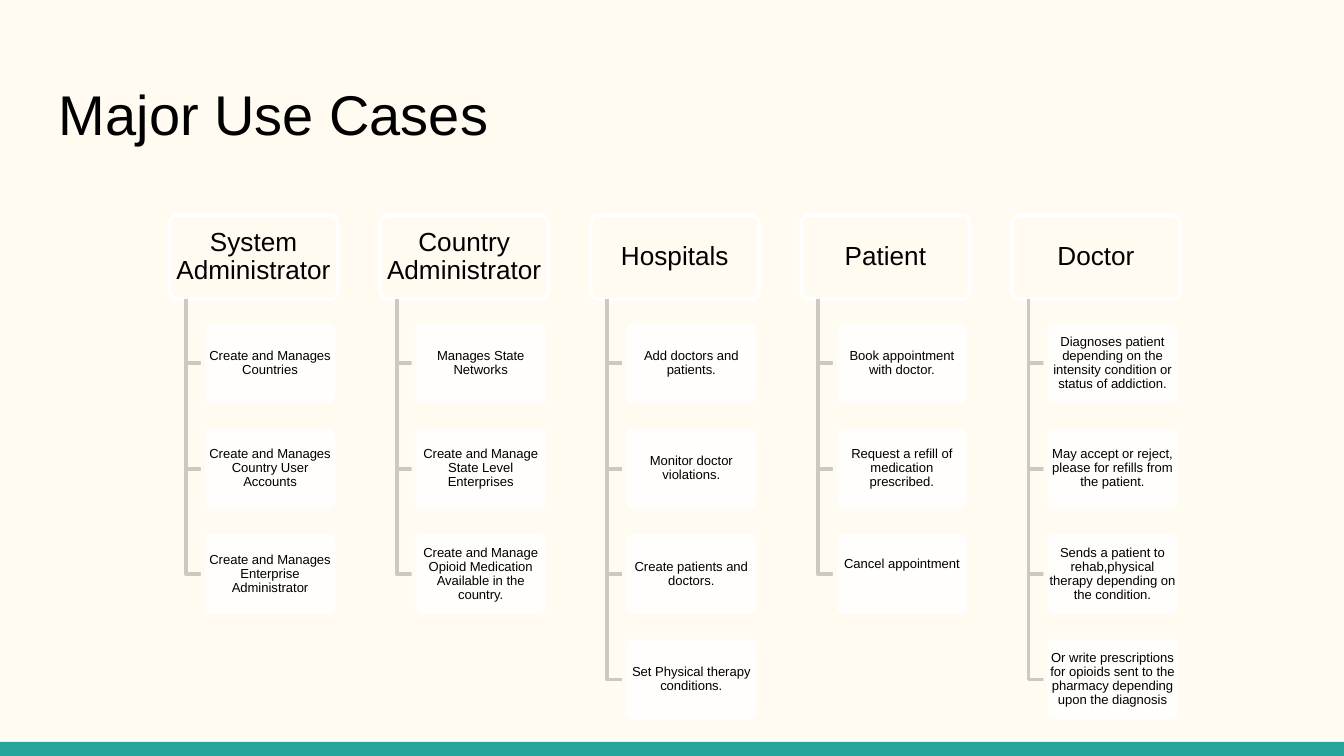
from lxml import etree
from pptx import Presentation
from pptx.dml.color import RGBColor
from pptx.enum.shapes import MSO_SHAPE
from pptx.enum.text import MSO_ANCHOR, PP_ALIGN
from pptx.oxml.ns import qn
from pptx.util import Inches, Pt

RECT = MSO_SHAPE.RECTANGLE
ROUND = MSO_SHAPE.ROUNDED_RECTANGLE
TOP, MID = MSO_ANCHOR.TOP, MSO_ANCHOR.MIDDLE
LEFT, MIDDLE = PP_ALIGN.LEFT, PP_ALIGN.CENTER

COLORS = {
    "cream": "FFFBF0",
    "white": "FFFFFF",
    "teal": "26A69A",
    "gray": "CCC9C0",
    "black": "000000",
}

ROLES = [
    ("System Administrator", [
        "Create and Manages Countries",
        "Create and Manages Country User Accounts",
        "Create and Manages Enterprise Administrator",
    ]),
    ("Country Administrator", [
        "Manages State Networks",
        "Create and Manage State Level Enterprises",
        "Create and Manage Opioid Medication Available in the country.",
    ]),
    ("Hospitals", [
        "Add doctors and patients.",
        "Monitor doctor violations.",
        "Create patients and doctors.",
        "Set Physical therapy conditions.",
    ]),
    ("Patient", [
        "Book appointment with doctor.",
        "Request a refill of medication prescribed.",
        "Cancel appointment",
    ]),
    ("Doctor", [
        "Diagnoses patient depending on the intensity condition or status of addiction.",
        "May accept or reject, please for refills from the patient.",
        "Sends a patient to rehab,physical therapy depending on the condition.",
        "Or write prescriptions for opioids sent to the pharmacy depending upon the diagnosis",
    ]),
]
RAISED = "Cancel appointment"

START, STEP = 1.26, 1.567
HEAD_TOP, HEAD_WIDTH, HEIGHT = 1.6, 1.254, 0.627
CARD_TOP, CARD_STEP, CARD_WIDTH = 2.39, 0.784, 1.0
STEM, INDENT = 0.125, 0.25


def color(name):
    return RGBColor.from_string(COLORS[name])


def write(shape, text, size, align=MIDDLE, anchor=MID, pad=(0.01,) * 4, space=0.9):
    frame = shape.text_frame
    frame.word_wrap = True
    frame.vertical_anchor = anchor
    (frame.margin_left, frame.margin_top,
     frame.margin_right, frame.margin_bottom) = map(Inches, pad)
    para = frame.paragraphs[0]
    para.alignment = align
    para.line_spacing = space
    run = para.add_run()
    run.text = text
    run.font.name = "Arial"
    run.font.size = Pt(size)
    run.font.color.rgb = color("black")


class Deck:
    def __init__(self):
        self.file = Presentation()
        self.file.slide_width = Inches(10)
        self.file.slide_height = Inches(5.625)
        self.slide = self.file.slides.add_slide(self.file.slide_layouts[6])
        back = self.slide.background.fill
        back.solid()
        back.fore_color.rgb = color("cream")

    def box(self, kind, place, fill, line=None, alpha=None):
        shape = self.slide.shapes.add_shape(kind, *map(Inches, place))
        shape.shadow.inherit = False
        shape.fill.solid()
        shape.fill.fore_color.rgb = color(fill)
        if alpha:
            tint = shape.fill._xPr.find(qn("a:solidFill"))[0]
            etree.SubElement(tint, qn("a:alpha")).set("val", str(alpha * 1000))
        if line:
            shape.line.color.rgb = color(line)
            shape.line.width = Pt(2)
        else:
            shape.line.fill.background()
        if kind == ROUND:
            shape.adjustments[0] = 0.1
        return shape

    def title(self, text, place):
        box = self.slide.shapes.add_textbox(*map(Inches, place))
        write(box, text, 30, LEFT, TOP, (0.1,) * 4, 1.0)

    def head(self, text, left):
        box = self.box(ROUND, (left, HEAD_TOP, HEAD_WIDTH, HEIGHT), "cream", "white")
        write(box, text, 14, pad=(0.03, 0.02, 0.03, 0.02))

    def elbow(self, left, top, right, low):
        path = self.slide.shapes.build_freeform(Inches(left), Inches(top))
        path.add_line_segments(
            [(Inches(left), Inches(low)), (Inches(right), Inches(low))], close=False)
        shape = path.convert_to_shape()
        shape.shadow.inherit = False
        shape.fill.background()
        shape.line.color.rgb = color("gray")
        shape.line.width = Pt(2)

    def card(self, text, left, top):
        box = self.box(ROUND, (left, top, CARD_WIDTH, HEIGHT), "white", "cream", 90)
        low = 0.15 if text == RAISED else 0.01
        write(box, text, 7, pad=(0.01, 0.01, 0.01, low))

    def role(self, name, tasks, left):
        self.head(name, left)
        for row, task in enumerate(tasks):
            top = CARD_TOP + row * CARD_STEP
            self.elbow(left + STEM, HEAD_TOP + HEIGHT, left + INDENT, top + HEIGHT / 2)
            self.card(task, left + INDENT, top)


def main():
    deck = Deck()
    deck.box(RECT, (0, 5.52, 10, 0.11), "teal")
    deck.title("Major Use Cases", (0.34, 0.49, 9.32, 0.67))
    for col, (name, tasks) in enumerate(ROLES):
        deck.role(name, tasks, START + col * STEP)
    deck.file.save("out.pptx")


if __name__ == "__main__":
    main()
